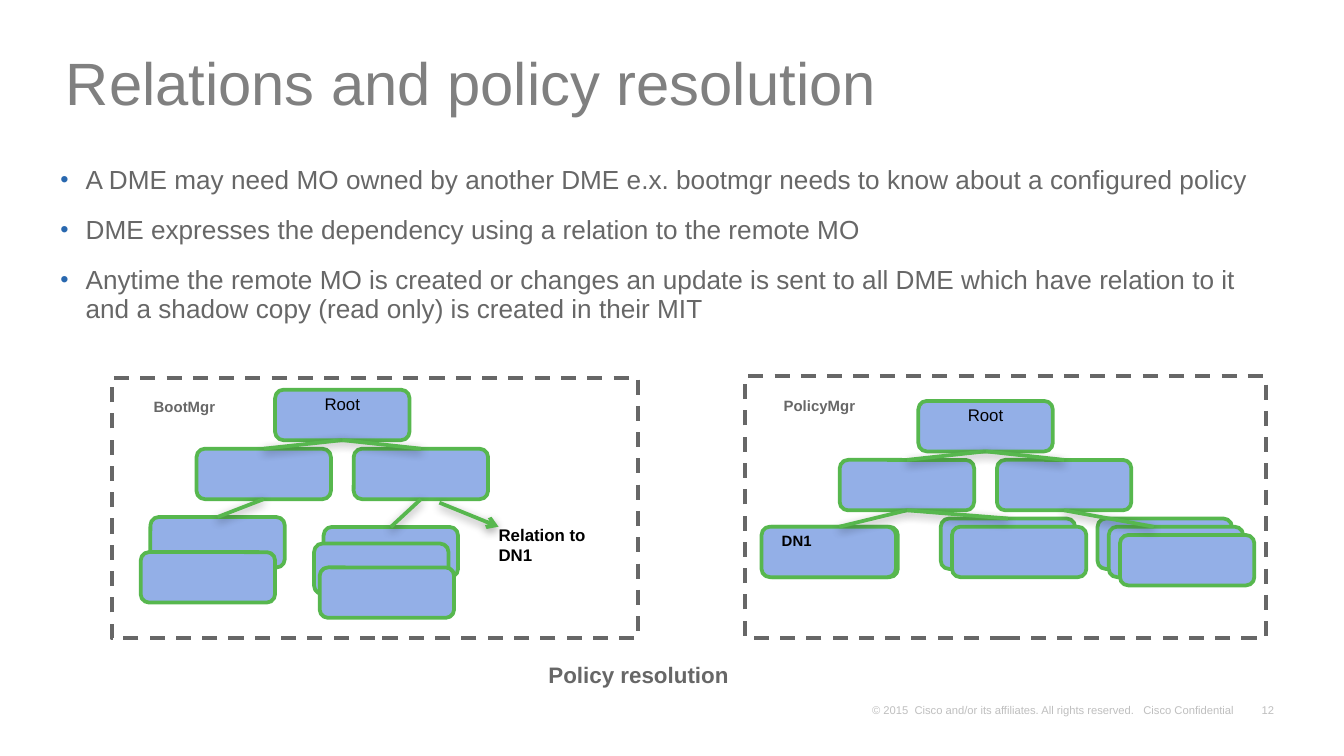
from lxml import etree
from pptx import Presentation
from pptx.dml.color import RGBColor
from pptx.enum.dml import MSO_LINE
from pptx.enum.shapes import MSO_CONNECTOR, MSO_SHAPE
from pptx.enum.text import MSO_ANCHOR, MSO_AUTO_SIZE, PP_ALIGN
from pptx.oxml import parse_xml
from pptx.oxml.ns import qn
from pptx.util import Pt

STRAIGHT = MSO_CONNECTOR.STRAIGHT
RECTANGLE, ROUNDED = MSO_SHAPE.RECTANGLE, MSO_SHAPE.ROUNDED_RECTANGLE
LEFT, CENTER, RIGHT = PP_ALIGN.LEFT, PP_ALIGN.CENTER, PP_ALIGN.RIGHT
TOP, MIDDLE, BOTTOM = MSO_ANCHOR.TOP, MSO_ANCHOR.MIDDLE, MSO_ANCHOR.BOTTOM
DASH = MSO_LINE.DASH
NO_AUTOFIT = MSO_AUTO_SIZE.NONE

FONT = "Arial"
GRAY, BLACK, PALE = "676767", "000000", "BFBFBF"
BLUE, GREEN = "93AFE7", "57B74E"
BOX_WIDTH, BOX_HEIGHT = 72, 27
CHILD_X, CHILD_Y = 42.1, 31.6
TOP_SIDE, BOTTOM_SIDE = 0, 2
SHADOW = (
    '<a:effectLst xmlns:a="http://schemas.openxmlformats.org/drawingml/2006/main">'
    '<a:outerShdw blurRad="63500" dist="20320" dir="5400000" rotWithShape="0">'
    '<a:srgbClr val="000000"><a:alpha val="38000"/></a:srgbClr>'
    "</a:outerShdw></a:effectLst>"
)

TITLE = "Relations and policy resolution"
BULLETS = [
    "A DME may need MO owned by another DME e.x. bootmgr needs to know about a configured policy",
    "DME expresses the dependency using a relation to the remote MO",
    "Anytime the remote MO is created or changes an update is sent to all DME which have "
    "relation to it and a shadow copy (read only) is created in their MIT",
]
TREES = [
    {
        "frame": (59.8, 202.5, 282.2, 139.5),
        "root": (147.4, 208.8),
        "stacks": [
            [(80.6, 277), (75.4, 295.8)],
            [(173.4, 282.3), (168.3, 291.2), (171.3, 304)],
        ],
        "links": [("left", 0, None), ("right", 1, None)],
    },
    {
        "frame": (399.1, 201.5, 279, 140.5),
        "root": (492, 214.8),
        "stacks": [
            [(409, 282.2), (408, 282.2)],
            [(504, 277.8), (510, 282.2)],
            [(588, 277.8), (594, 282.2), (600, 286.6)],
        ],
        "links": [("left", 0, (449.6, 282.2)), ("left", 1, None), ("right", 2, (618.1, 282.2))],
    },
]
RELATION = (235.4, 269.3, 267.1, 282.2)
LABELS = [
    ("Relation to DN1", (261.1, 277.9, 68.4, 27.4), 9, BLACK),
    ("DN1", (412.8, 282, 42, 15), 8, BLACK),
    ("BootMgr", (76.3, 210.2, 65, 15), 8, GRAY),
    ("PolicyMgr", (413.8, 209.5, 78, 15), 8, GRAY),
    ("Policy resolution", (287.8, 351.4, 180, 20), 12, GRAY),
]
FOOTERS = [
    ("© 2015  Cisco and/or its affiliates. All rights reserved.   Cisco Confidential",
     (462.2, 373.7, 209.5, 12.2), LEFT),
    ("12", (670.3, 373.7, 17.3, 12.2), RIGHT),
]


def color(value):
    return RGBColor.from_string(value)


def place(shape, left, top, width, height):
    shape.left, shape.top, shape.width, shape.height = map(Pt, (left, top, width, height))


def prepare(text_frame, side, edge, anchor=TOP):
    text_frame.word_wrap = True
    text_frame.auto_size = NO_AUTOFIT
    text_frame.vertical_anchor = anchor
    text_frame.margin_left = text_frame.margin_right = Pt(side)
    text_frame.margin_top = text_frame.margin_bottom = Pt(edge)


def style(paragraph, size, value, bold=False, align=LEFT):
    paragraph.alignment = align
    for run in paragraph.runs:
        run.font.name = FONT
        run.font.size = Pt(size)
        run.font.bold = bold
        run.font.color.rgb = color(value)


def add_text(slide, text, bounds, size, value, bold=False, align=LEFT, anchor=TOP, margins=(6, 3)):
    text_frame = slide.shapes.add_textbox(*map(Pt, bounds)).text_frame
    prepare(text_frame, *margins, anchor)
    text_frame.text = text
    style(text_frame.paragraphs[0], size, value, bold, align)


def add_bullet(paragraph):
    properties = paragraph._p.get_or_add_pPr()
    properties.set("marL", str(Pt(13.5)))
    properties.set("indent", str(Pt(-13.5)))
    bullet_color = etree.SubElement(properties, qn("a:buClr"))
    etree.SubElement(bullet_color, qn("a:srgbClr"), val="2968AF")
    etree.SubElement(properties, qn("a:buSzPct"), val="90000")
    etree.SubElement(properties, qn("a:buFont"), typeface=FONT)
    etree.SubElement(properties, qn("a:buChar"), char="•")


def add_box(slide, left, top):
    box = slide.shapes.add_shape(ROUNDED, Pt(left), Pt(top), Pt(BOX_WIDTH), Pt(BOX_HEIGHT))
    box.shadow.inherit = False
    box.fill.solid()
    box.fill.fore_color.rgb = color(BLUE)
    box.line.color.rgb = color(GREEN)
    box.line.width = Pt(2)
    return box


def add_line(slide, start_x, start_y, end_x, end_y):
    line = slide.shapes.add_connector(STRAIGHT, *map(Pt, (start_x, start_y, end_x, end_y)))
    line.line.color.rgb = color(GREEN)
    line.line.width = Pt(2)
    line._element.spPr.append(parse_xml(SHADOW))
    return line


def link(slide, parent, child, end):
    end_x, end_y = end or (0, 0)
    line = add_line(slide, 0, 0, end_x, end_y)
    line.begin_connect(parent, BOTTOM_SIDE)
    if end is None:
        line.end_connect(child, TOP_SIDE)


def add_tree(slide, tree):
    left, top = tree["root"]
    root = add_box(slide, left, top)
    prepare(root.text_frame, 6, 3)
    root.text_frame.text = "Root"
    paragraph = root.text_frame.paragraphs[0]
    paragraph.line_spacing = 0.8
    style(paragraph, 9, BLACK, align=CENTER)
    stacks = [[add_box(slide, *corner) for corner in stack] for stack in tree["stacks"]]
    children = {
        "left": add_box(slide, left - CHILD_X, top + CHILD_Y),
        "right": add_box(slide, left + CHILD_X, top + CHILD_Y),
    }
    for child in children.values():
        link(slide, root, child, None)
    for side, index, end in tree["links"]:
        link(slide, children[side], stacks[index][0], end)
    frame = slide.shapes.add_shape(RECTANGLE, *map(Pt, tree["frame"]))
    frame.shadow.inherit = False
    frame.fill.background()
    frame.line.color.rgb = color(GRAY)
    frame.line.width = Pt(2)
    frame.line.dash_style = DASH


def main():
    presentation = Presentation()
    presentation.slide_width, presentation.slide_height = Pt(720), Pt(405)
    slide = presentation.slides.add_slide(presentation.slide_layouts[1])

    title, body = slide.placeholders
    place(title, 28.1, 17.3, 670.3, 60.5)
    prepare(title.text_frame, 7.2, 3.6, MIDDLE)
    title.text_frame.text = TITLE
    title.text_frame.paragraphs[0].line_spacing = 0.8
    style(title.text_frame.paragraphs[0], 32, "808080")

    place(body, 26.6, 85.7, 661.7, 292.3)
    prepare(body.text_frame, 5.8, 2.9)
    body.text_frame.text = "\n".join(BULLETS)
    for index, paragraph in enumerate(body.text_frame.paragraphs):
        add_bullet(paragraph)
        paragraph.line_spacing = 0.95
        paragraph.space_before = Pt(10.8 if index else 0)
        style(paragraph, 14, GRAY)

    for tree in TREES:
        add_tree(slide, tree)
    arrow = add_line(slide, *RELATION)
    etree.SubElement(arrow.line._get_or_add_ln(), qn("a:tailEnd"), type="arrow")

    for text, bounds, size, value in LABELS:
        add_text(slide, text, bounds, size, value, bold=True)
    for text, bounds, align in FOOTERS:
        add_text(slide, text, bounds, 6, PALE, align=align, anchor=BOTTOM, margins=(5, 2))
    presentation.save("out.pptx")


if __name__ == "__main__":
    main()
